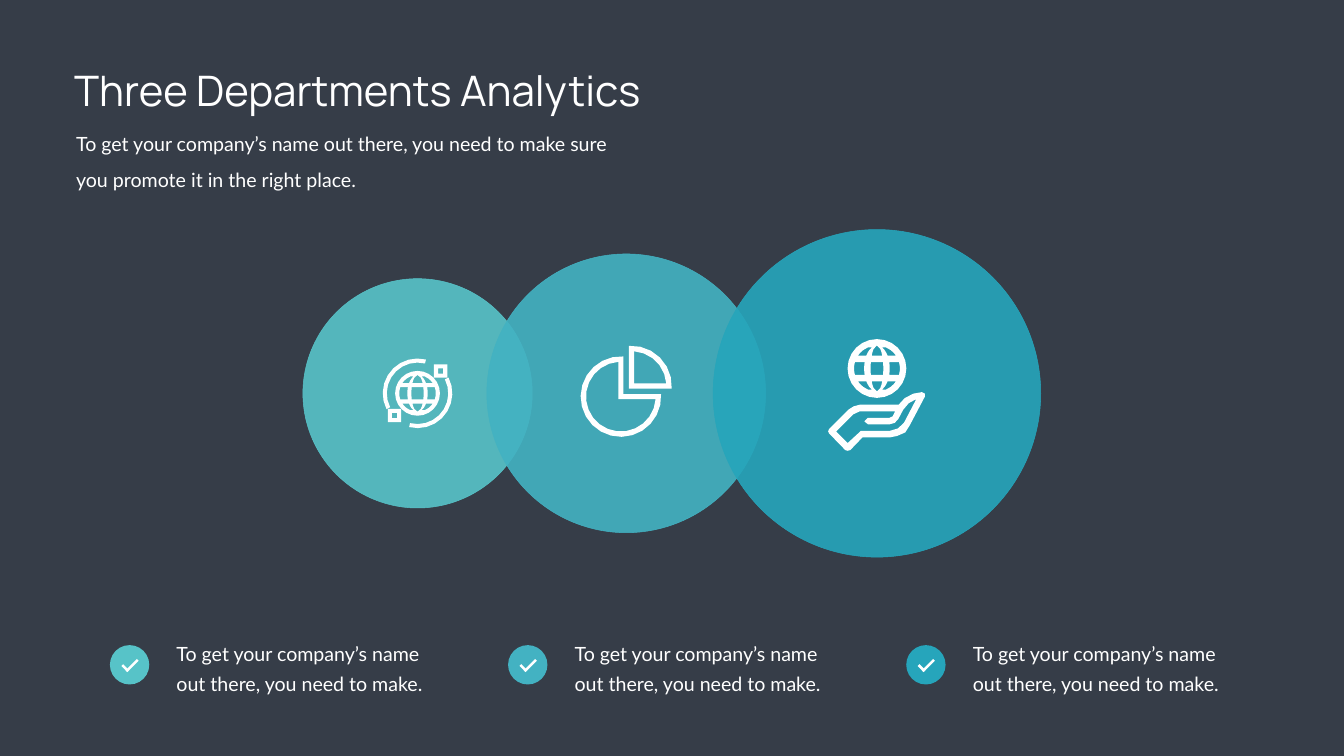
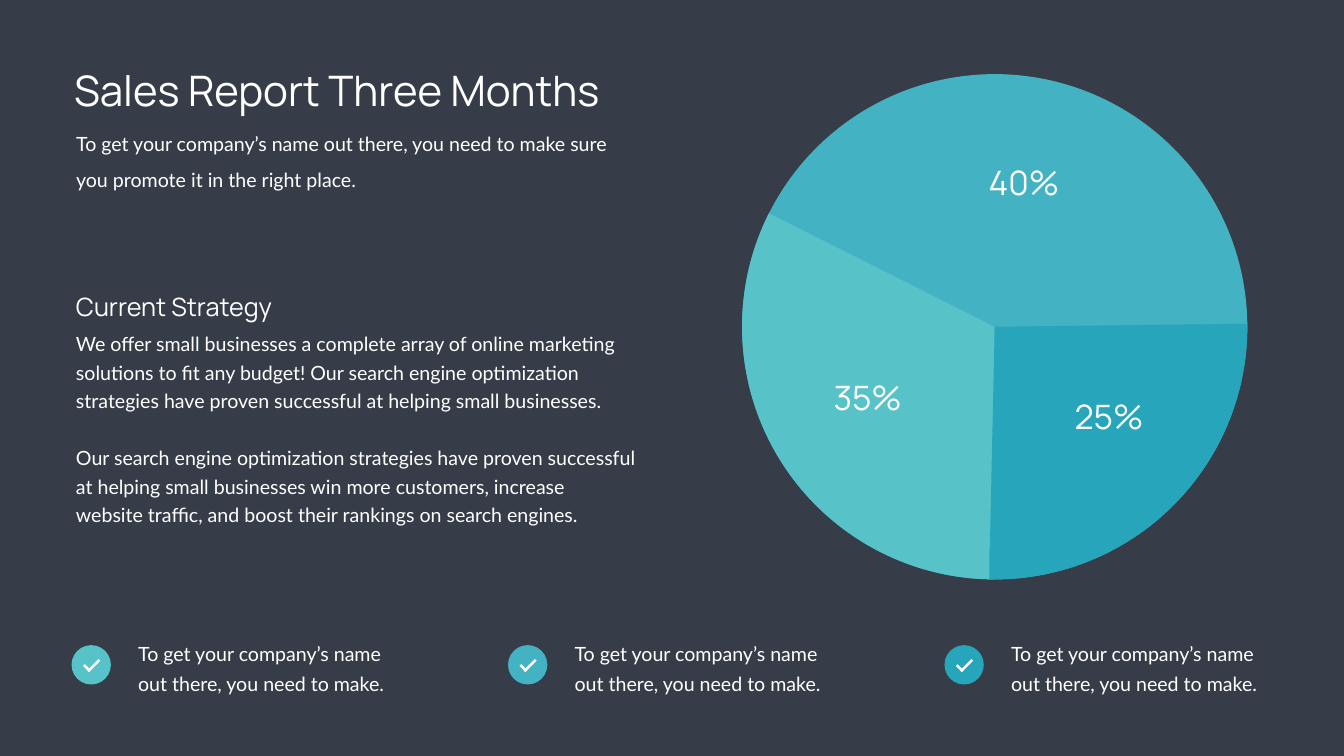
from dataclasses import dataclass
from math import cos, radians, sin, sqrt
from typing import Any

from lxml.etree import SubElement
from pptx import Presentation
from pptx.dml.color import RGBColor
from pptx.enum.shapes import MSO_SHAPE as Kind
from pptx.enum.text import MSO_ANCHOR as Anchor, MSO_AUTO_SIZE as Fit, PP_ALIGN as Align
from pptx.oxml.ns import qn
from pptx.util import Pt

Point = tuple[float, float]
Loop = list[Point]

HEX = {"back": "363D48", "text": "FFFFFF",
       "mint": "57C3C8", "sea": "43B2C2", "teal": "26A5BB"}
HUES = ["mint", "sea", "teal"]
INTRO = ("To get your company’s name out there, you need to make sure "
         "you promote it in the right place.")
NOTE = "To get your company’s name out there, you need to make."
STRATEGY = [
    "We offer small businesses a complete array of online marketing solutions "
    "to fit any budget! Our search engine optimization strategies have proven "
    "successful at helping small businesses.",
    "Our search engine optimization strategies have proven successful at "
    "helping small businesses win more customers, increase website traffic, "
    "and boost their rankings on search engines.",
]


@dataclass
class Box:
    x: float
    y: float
    w: float
    h: float


@dataclass
class Style:
    font: str
    size: float
    line: Any = 1.0
    gap: float = 0
    align: Align = Align.LEFT
    inset: Point = (7.2, 3.6)
    wrap: bool = True


@dataclass
class Disc:
    x: float
    size: float
    hue: str


@dataclass
class Slice:
    label: str
    x: float
    y: float
    hue: str
    start: float = 0
    end: float = 0


HEAD = Style("Manrope", 60)
LEAD = Style("Lato", 28, line=1.5)
BODY = Style("Lato", 28, line=Pt(40.8), gap=40.8)
SUB = Style("Manrope", 36, wrap=False)
ITEM = Style("Lato", 28, line=Pt(43), inset=(17.28, 8.64))
SHARE = Style("Manrope", 48, align=Align.CENTER)

MID = 561.9
DISCS = [Disc(596.5, 327.6, "mint"), Disc(894.6, 398.2, "sea"),
         Disc(1252.8, 468, "teal")]
PIE = Box(1082.6, 128.4, 676.8, 676.8)
SLICES = [Slice("40%", 1382.4, 228.2, "sea"),
          Slice("35%", 1159.2, 534.2, "mint", 89.96, 206.66),
          Slice("25%", 1504, 562.3, "teal", 359.32, 91.25)]

PALM_AT = (1183, 560.2)
PALM = [
    [(138.2, 2.2), (134, 0), (121.7, 2.2), (109.4, 8.6), (100.8, 18), (45.4, 18),
     (36.7, 20.2), (28.8, 25.2), (1.4, 52.6), (0, 56.2), (1.4, 59), (24.5, 82.8),
     (28, 83.8), (31.7, 82.8), (49, 64.8), (87.8, 64.8), (98.6, 62.6),
     (110.2, 57.6), (116.6, 47.5), (138.2, 6.5)],
    [(108.7, 43.2), (100, 51.8), (87.8, 55.4), (46.8, 55.4), (28, 72.7),
     (11.5, 56.2), (36, 31.7), (45.4, 27.4), (95.8, 27.4), (92.2, 34.6),
     (87.8, 36.7), (56.9, 36.7), (51.8, 41.8), (56.9, 46), (87.8, 46),
     (95, 44), (100, 38.9), (107.3, 25.2), (115.2, 15.8), (126, 10)],
]


def put(obj: Any, **vals: Any) -> None:
    """Set each named value as an attribute of obj."""
    for key, val in vals.items():
        setattr(obj, key, val)


def tint(hue: str) -> RGBColor:
    return RGBColor.from_string(HEX[hue])


def place(shape: Any, box: Box) -> None:
    put(shape, left=Pt(box.x), top=Pt(box.y), width=Pt(box.w), height=Pt(box.h))


def write(shape: Any, lines: list[str], style: Style) -> None:
    frame = shape.text_frame
    across, down = (Pt(n) for n in style.inset)
    put(frame, auto_size=Fit.NONE, word_wrap=style.wrap, vertical_anchor=Anchor.TOP,
        margin_left=across, margin_right=across, margin_top=down, margin_bottom=down)
    for n, line in enumerate(lines):
        para = frame.add_paragraph() if n else frame.paragraphs[0]
        para.text = line
        if shape.is_placeholder:
            props = para._p.get_or_add_pPr()
            props.set("marL", "0")
            props.set("indent", "0")
            SubElement(props, qn("a:buNone"))
        put(para, alignment=style.align, line_spacing=style.line,
            space_before=Pt(style.gap if n else 0), space_after=Pt(0))
        put(para.font, name=style.font, size=Pt(style.size))
        para.font.color.rgb = tint("text")


def label(slide: Any, box: Box, lines: list[str], style: Style) -> None:
    shape = slide.shapes.add_textbox(Pt(box.x), Pt(box.y), Pt(box.w), Pt(box.h))
    write(shape, lines, style)


def paint(shape: Any, hue: str, edge: float = 0) -> None:
    shape.shadow.inherit = False
    shape.fill.solid()
    shape.fill.fore_color.rgb = tint(hue)
    if edge:
        shape.line.color.rgb = tint(hue)
        shape.line.width = Pt(edge)
    else:
        shape.line.fill.background()


def draw(slide: Any, kind: Kind, box: Box, hue: str, edge: float = 0,
         turn: float = 0) -> Any:
    shape = slide.shapes.add_shape(kind, Pt(box.x), Pt(box.y), Pt(box.w), Pt(box.h))
    paint(shape, hue, edge)
    shape.rotation = turn
    return shape


def icon(slide: Any, at: Point, loops: list[Loop]) -> None:
    """Draw closed loops around a point as one white shape; inner loops are holes."""
    pen = None
    for loop in loops:
        first, *rest = [(Pt(at[0] + x), Pt(at[1] + y)) for x, y in loop]
        if pen is None:
            pen = slide.shapes.build_freeform(*first)
        else:
            pen.move_to(*first)
        pen.add_line_segments(rest, close=True)
    paint(pen.convert_to_shape(), "text")


def arc(size: float, start: float, end: float) -> Loop:
    steps = round(abs(end - start) / 15)
    turns = [radians(start + (end - start) * n / steps) for n in range(steps + 1)]
    return [(size * cos(t), size * sin(t)) for t in turns]


def square(x: float, y: float, half: float) -> Loop:
    return [(x - half, y - half), (x + half, y - half),
            (x + half, y + half), (x - half, y + half)]


def globe(size: float, pen: float, grid: float) -> list[Loop]:
    """Outline a globe whose grid lines lie at a distance grid from the centre."""
    rim = size - pen
    near, far = grid - pen / 2, grid + pen / 2

    def side(reach: float, top: float, end: float) -> Loop:
        rows = [top + (end - top) * n / 3 for n in range(4)]
        return [(reach * sqrt(max(0, 1 - (y / rim) ** 2)), y) for y in rows]

    loops = [arc(size, 0, 360)]
    for left, right, cap in [(-rim, -far, 0.92), (-near, near, 1), (far, rim, 0.92)]:
        edge = rim * cap
        for top, end in [(-edge, -far), (-near, near), (far, edge)]:
            loops.append(side(left, top, end) + side(right, top, end)[::-1])
    return loops


def orbit(sign: int) -> list[Loop]:
    """Outline half an orbit with its square; sign -1 is the opposite half."""
    band = arc(49.7, -27, 104) + arc(43.9, 104, -27)
    loops = [band, square(33, -31.8, 9.5), square(33, -31.8, 3.7)]
    return [[(sign * x, sign * y) for x, y in loop] for loop in loops]


def wedge(x: float, y: float, start: float, end: float) -> list[Loop]:
    """Outline a pie piece with its corner at (x, y) and the hole's opposite."""
    return [[(x, y)] + arc(57.5, start - 3.6, end + 3.6),
            [(-x, -y)] + arc(49.8, start + 4.2, end - 4.2)]


def begin(deck: Any, title: str) -> Any:
    slide = deck.slides.add_slide(deck.slide_layouts[1])
    head, lead = slide.placeholders
    place(head, Box(98.6, 88.6, 1004.4, 79.9))
    write(head, [title], HEAD)
    place(lead, Box(101.5, 168.5, 807.1, 102.2))
    write(lead, [INTRO], LEAD)
    return slide


def checks(slide: Any, left: float, step: float) -> None:
    """Draw the row of three ticked notes."""
    top = 921.6
    for n, hue in enumerate(HUES):
        x = left + n * step
        label(slide, Box(x + 77.8, top - 23, 390.2, 100), [NOTE], ITEM)
        draw(slide, Kind.OVAL, Box(x, top, 56.2, 56.2), hue)
        draw(slide, Kind.RECTANGLE, Box(x + 15.8, top + 31, 12.2, 3.6), "text", turn=45)
        draw(slide, Kind.RECTANGLE, Box(x + 20.2, top + 27.4, 23, 3.6), "text", turn=315)


def teams(deck: Any) -> None:
    slide = begin(deck, "Three Departments Analytics")
    for disc in DISCS:
        box = Box(disc.x - disc.size / 2, MID - disc.size / 2, disc.size, disc.size)
        oval = draw(slide, Kind.OVAL, box, disc.hue, 0.75)
        color = oval._element.spPr.find(qn("a:solidFill"))[0]
        SubElement(color, qn("a:alpha")).set("val", "91000")
    checks(slide, 157, 568.8)
    hub = (DISCS[0].x, MID)
    icon(slide, hub, globe(32, 5.8, 11.7))
    for sign in (1, -1):
        icon(slide, hub, orbit(sign))
    icon(slide, (887, 566.6), wedge(3.6, -3.6, 0, 270))
    icon(slide, (902.2, 551.5), wedge(-3.6, 3.6, -90, 0))
    icon(slide, PALM_AT, PALM)
    icon(slide, (DISCS[2].x, 526.4), globe(42, 9.2, 13.7))


def sales(deck: Any) -> None:
    slide = begin(deck, "Sales Report Three Months")
    for part in SLICES:
        kind = Kind.ARC if part.end else Kind.OVAL
        shape = draw(slide, kind, PIE, part.hue, 45)
        if part.end:
            # An adjustment of 1 stands for 100000 sixty-thousandths of a degree
            shape.adjustments[0] = part.start * 0.6
            shape.adjustments[1] = part.end * 0.6
    for part in SLICES:
        label(slide, Box(part.x, part.y, 160.6, 94.3), [part.label], SHARE)
    checks(slide, 102.2, 623.5)
    label(slide, Box(101.5, 463.7, 813.6, 293), STRATEGY, BODY)
    label(slide, Box(101.5, 412.6, 319, 51.1), ["Current Strategy"], SUB)


def main() -> None:
    deck = Presentation()
    put(deck, slide_width=Pt(1920), slide_height=Pt(1080))
    back = deck.slide_master.background.fill
    back.solid()
    back.fore_color.rgb = tint("back")
    teams(deck)
    sales(deck)
    deck.save("out.pptx")


if __name__ == "__main__":
    main()
